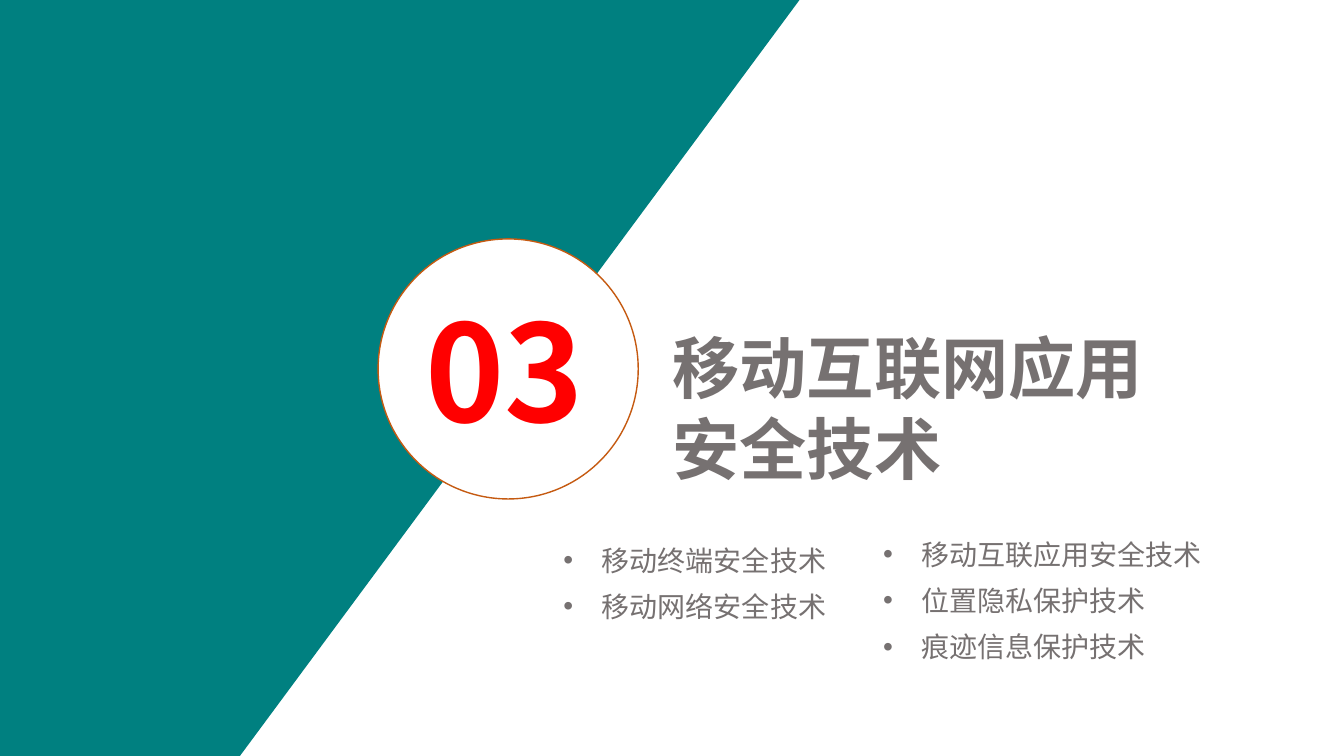
from lxml import etree
from pptx import Presentation
from pptx.dml.color import RGBColor
from pptx.enum.shapes import MSO_SHAPE
from pptx.enum.text import MSO_ANCHOR, PP_ALIGN
from pptx.oxml.ns import qn
from pptx.util import Pt

PX = 9144
OVAL = MSO_SHAPE.OVAL
TOP = MSO_ANCHOR.TOP
LEFT = PP_ALIGN.LEFT
TITLE_ONLY = 5


def rgb(value):
    return RGBColor.from_string(value)


def add_run(p, text, size, color, font, bold=False):
    r = p.add_run()
    r.text = text
    r.font.name = font
    r.font.size = Pt(size)
    r.font.bold = bold
    r.font.color.rgb = rgb(color)
    ea = etree.SubElement(r.font._element, qn("a:ea"))
    ea.set("typeface", font)


class SectionSlide:
    """Draws the elements of a section opener in one shared style."""

    font = "Noto Sans CJK SC"
    teal, orange, red = "008080", "C55A11", "FF0000"
    gray, white = "767171", "FFFFFF"

    def __init__(self, prs):
        self.s = prs.slides.add_slide(prs.slide_layouts[TITLE_ONLY])

    def place(self, sp, x, y, w, h):
        sp.left, sp.top, sp.width, sp.height = (v * PX for v in (x, y, w, h))

    def frame(self, sp):
        tf = sp.text_frame
        tf.word_wrap = True
        tf.vertical_anchor = TOP
        return tf

    def textbox(self, x, y, w, h):
        return self.frame(self.s.shapes.add_textbox(*(v * PX for v in (x, y, w, h))))

    def title(self, text, x, y, w, h):
        sp = self.s.shapes.title
        self.place(sp, x, y, w, h)
        p = self.frame(sp).paragraphs[0]
        p.alignment = LEFT
        p.line_spacing = 1.0
        add_run(p, text, 48, self.gray, self.font, bold=True)

    def panel(self, points):
        fb = self.s.shapes.build_freeform(*points[0], scale=PX)
        fb.add_line_segments(points[1:], close=True)
        sp = fb.convert_to_shape()
        sp.shadow.inherit = False
        sp.fill.solid()
        sp.fill.fore_color.rgb = rgb(self.teal)
        sp.line.fill.background()

    def circle(self, x, y, d):
        sp = self.s.shapes.add_shape(OVAL, x * PX, y * PX, d * PX, d * PX)
        sp.shadow.inherit = False
        sp.fill.solid()
        sp.fill.fore_color.rgb = rgb(self.white)
        sp.line.color.rgb = rgb(self.orange)
        sp.line.width = Pt(1)

    def number(self, text, x, y, w, h):
        p = self.textbox(x, y, w, h).paragraphs[0]
        add_run(p, text, 96, self.red, self.font, bold=True)

    def bullets(self, items, x, y, w, pitch):
        tf = self.textbox(x, y, w, pitch * len(items))
        for i, item in enumerate(items):
            p = tf.add_paragraph() if i else tf.paragraphs[0]
            if i:
                p.space_before = Pt(9)
            pPr = p._p.get_or_add_pPr()
            pPr.set("marL", str(38 * PX))
            pPr.set("indent", str(-38 * PX))
            etree.SubElement(pPr, qn("a:buFont")).set("typeface", "Arial")
            etree.SubElement(pPr, qn("a:buChar")).set("char", "•")
            add_run(p, item, 20, self.gray, self.font)


def main():
    prs = Presentation()
    prs.slide_width, prs.slide_height = 1333 * PX, 750 * PX
    slide = SectionSlide(prs)
    slide.panel([(0, 0), (793, 0), (238, 750), (0, 750)])
    slide.circle(375, 237, 258)
    slide.number("03", 412, 281, 190, 181)
    slide.title("移动互联网应用安全技术", 657, 319, 530, 176)
    slide.bullets(["移动终端安全技术", "移动网络安全技术"], 549, 534, 406, 46)
    slide.bullets(["移动互联应用安全技术", "位置隐私保护技术", "痕迹信息保护技术"],
                  866, 528, 406, 46)
    prs.save("out.pptx")


if __name__ == "__main__":
    main()
